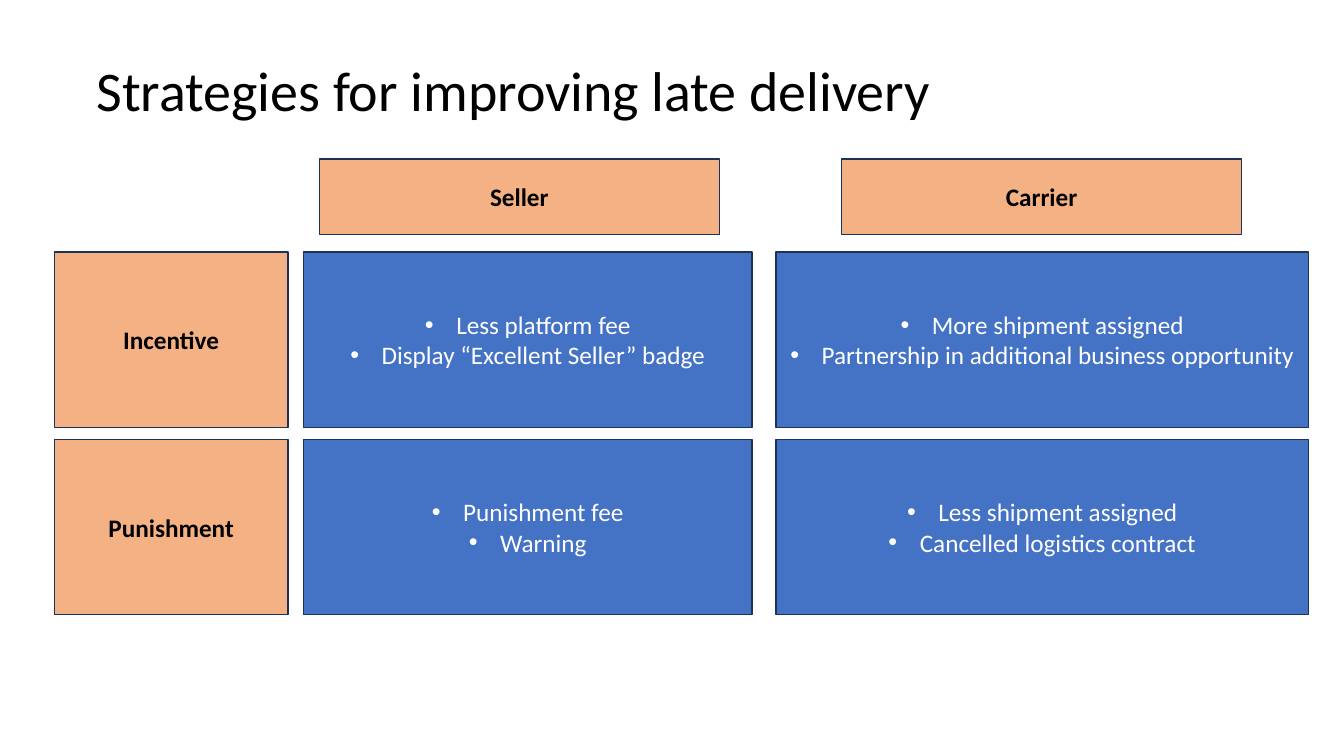
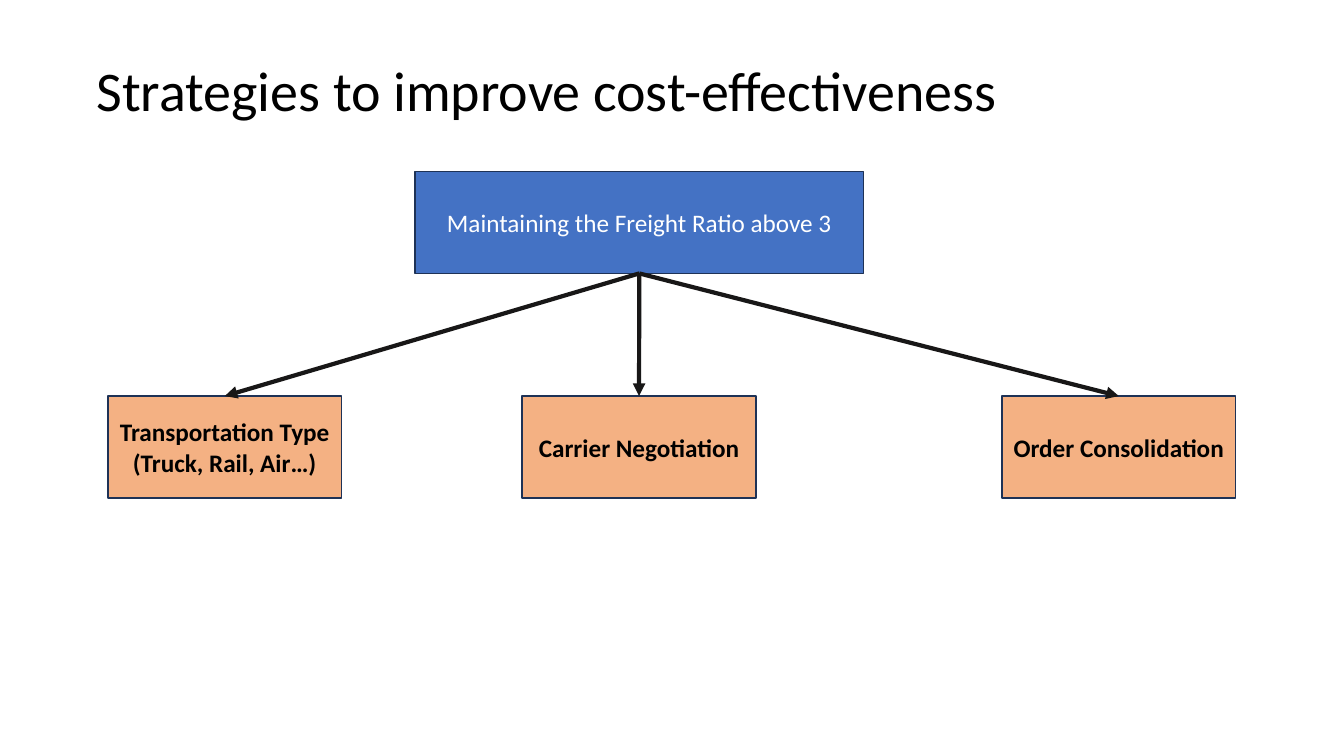
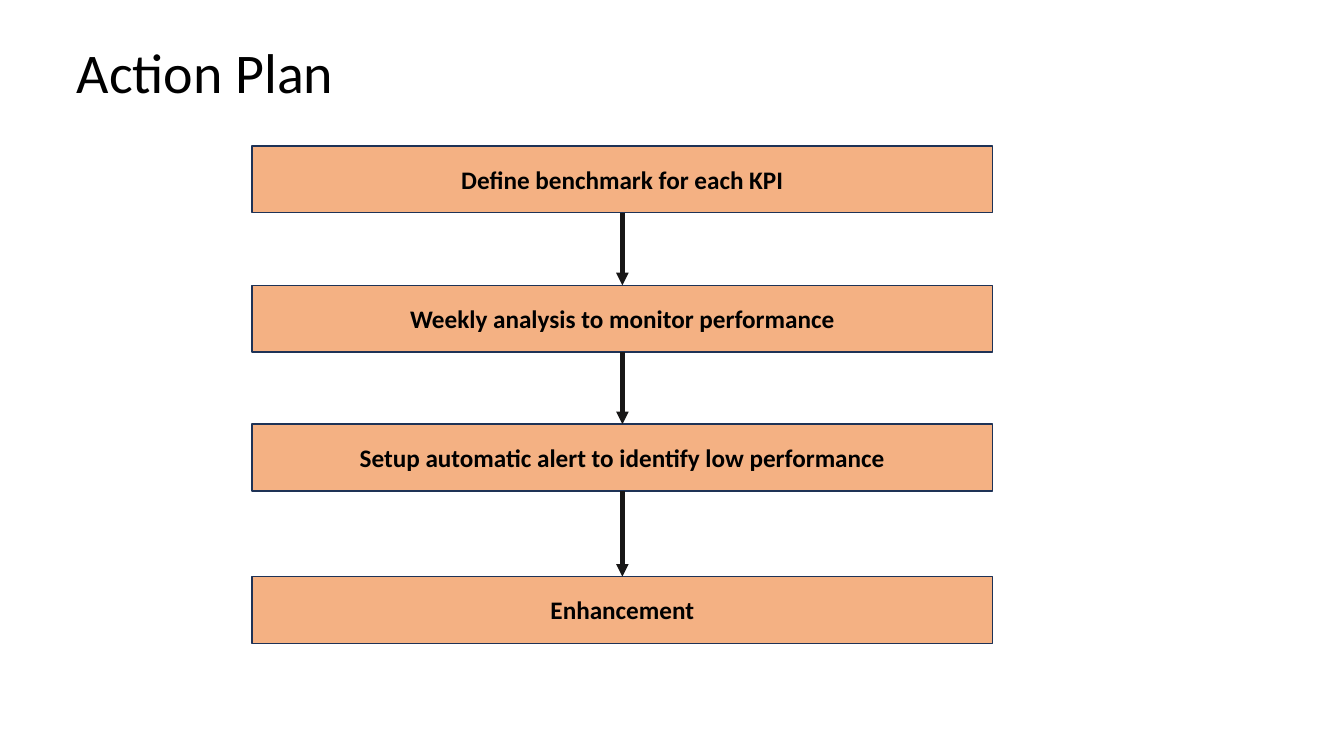
import pptx
import pptx.dml.color
import pptx.enum.shapes
import pptx.enum.text
import pptx.oxml.ns
import pptx.util
from lxml import etree
from pptx.util import Cm

COLORS = {
    "black": "000000",
    "white": "FFFFFF",
    "orange": "F4B183",
    "blue": "4472C4",
    "outline": "1E3256",
    "arrow": "181717",
}
FONT = "Calibri"
TITLE_ONLY = 5
TOP, BOTTOM = 0, 2
LABEL_WIDTH = 5.89
PANEL_WIDTH = 11.3


def rgb(name):
    return pptx.dml.color.RGBColor.from_string(COLORS[name])


def add_element(parent, tag, **attributes):
    return etree.SubElement(parent, pptx.oxml.ns.qn(tag), attributes)


def write_text(frame, text, size=18, color="black", bold=False, bullets=False,
               align=pptx.enum.text.PP_ALIGN.CENTER,
               anchor=pptx.enum.text.MSO_ANCHOR.MIDDLE):
    """Fill the frame with one paragraph per line of text."""
    frame.word_wrap = True
    frame.vertical_anchor = anchor
    frame.text = text
    for paragraph in frame.paragraphs:
        paragraph.alignment = align
        for run in paragraph.runs:
            run.font.name = FONT
            run.font.size = pptx.util.Pt(size)
            run.font.bold = bold
            run.font.color.rgb = rgb(color)
        if bullets:
            properties = paragraph._p.get_or_add_pPr()
            indent = Cm(0.79)
            properties.set("marL", str(indent))
            properties.set("indent", str(-indent))
            add_element(properties, "a:buFont", typeface="Arial")
            add_element(properties, "a:buChar", char="•")


class Deck:
    def __init__(self):
        self.presentation = pptx.Presentation()
        self.presentation.slide_width = Cm(33.87)
        self.presentation.slide_height = Cm(19.05)
        self.slide = None

    def start_slide(self, title, left=2.18, top=1.27):
        layout = self.presentation.slide_layouts[TITLE_ONLY]
        self.slide = self.presentation.slides.add_slide(layout)
        shape = self.slide.shapes.title
        shape.left, shape.top = Cm(left), Cm(top)
        shape.width, shape.height = Cm(26.09), Cm(1.96)
        write_text(shape.text_frame, title, size=40,
                   align=pptx.enum.text.PP_ALIGN.LEFT,
                   anchor=pptx.enum.text.MSO_ANCHOR.TOP)
        shape.text_frame.auto_size = pptx.enum.text.MSO_AUTO_SIZE.SHAPE_TO_FIT_TEXT

    def box(self, text, left, top, width, height, fill, **text_format):
        shape = self.slide.shapes.add_shape(
            pptx.enum.shapes.MSO_SHAPE.RECTANGLE,
            Cm(left), Cm(top), Cm(width), Cm(height))
        shape.shadow.inherit = False
        shape.fill.solid()
        shape.fill.fore_color.rgb = rgb(fill)
        shape.line.color.rgb = rgb("outline")
        shape.line.width = pptx.util.Pt(1)
        write_text(shape.text_frame, text, **text_format)
        return shape

    def label(self, text, left, top, width, height):
        return self.box(text, left, top, width, height, "orange", bold=True)

    def panel(self, text, left, top, width, height, bullets=False):
        return self.box(text, left, top, width, height, "blue",
                        color="white", bullets=bullets)

    def arrow(self, upper, lower):
        """Point from the bottom of one box to the top of another."""
        connector = self.slide.shapes.add_connector(
            pptx.enum.shapes.MSO_CONNECTOR.STRAIGHT, 0, 0, 0, 0)
        connector.begin_connect(upper, BOTTOM)
        connector.end_connect(lower, TOP)
        connector.line.color.rgb = rgb("arrow")
        connector.line.width = pptx.util.Pt(3)
        add_element(connector.line._get_or_add_ln(), "a:tailEnd", type="triangle")
        add_element(connector._element.spPr, "a:effectLst")


def late_delivery_slide(deck):
    deck.start_slide("Strategies for improving late delivery")
    row_height = 4.42
    rows = [("Incentive", 6.35), ("Punishment", 11.07)]
    columns = [
        ("Seller", 8.05, 7.65, PANEL_WIDTH,
         ["Less platform fee\nDisplay “Excellent Seller” badge",
          "Punishment fee\nWarning"]),
        ("Carrier", 21.21, 19.56, 13.41,
         ["More shipment assigned\nPartnership in additional business opportunity",
          "Less shipment assigned\nCancelled logistics contract"]),
    ]
    for name, top in rows:
        deck.label(name, 1.37, top, LABEL_WIDTH, row_height)
    for name, header_left, left, width, cells in columns:
        deck.label(name, header_left, 4.01, 10.08, 1.9)
        for (_, top), text in zip(rows, cells):
            deck.panel(text, left, top, width, row_height, bullets=True)


def cost_slide(deck):
    deck.start_slide("Strategies to improve cost-effectiveness")
    height = 2.57
    goal = deck.panel("Maintaining the Freight Ratio above 3",
                      10.46, 4.32, PANEL_WIDTH, height)
    strategies = [("Transportation Type\n(Truck, Rail, Air…)", 2.72),
                  ("Carrier Negotiation", 13.16),
                  ("Order Consolidation", 25.25)]
    for text, left in strategies:
        deck.arrow(goal, deck.label(text, left, 9.98, LABEL_WIDTH, height))


def action_plan_slide(deck):
    deck.start_slide("Action Plan", left=1.68, top=0.81)
    steps = [("Define benchmark for each KPI", 3.68),
             ("Weekly analysis to monitor performance", 7.19),
             ("Setup automatic alert to identify low performance", 10.69),
             ("Enhancement", 14.53)]
    boxes = [deck.label(text, 6.35, top, 18.67, 1.68) for text, top in steps]
    for upper, lower in zip(boxes, boxes[1:]):
        deck.arrow(upper, lower)


def main():
    deck = Deck()
    late_delivery_slide(deck)
    cost_slide(deck)
    action_plan_slide(deck)
    deck.presentation.save("out.pptx")


if __name__ == "__main__":
    main()
